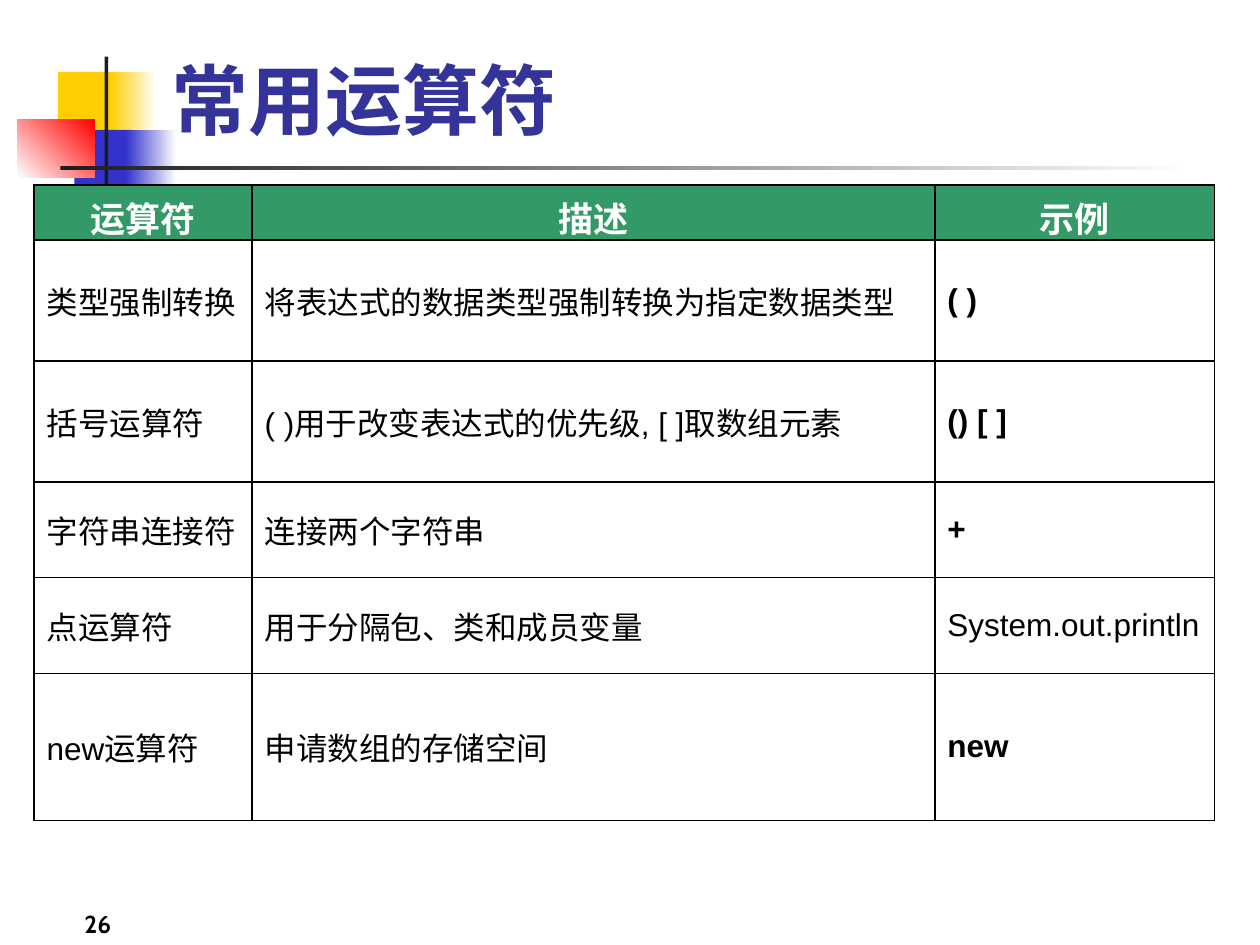
from dataclasses import dataclass
from lxml import etree
from pptx import Presentation
from pptx.dml import color
from pptx.enum import shapes, text
from pptx.oxml import ns
from pptx.util import Inches, Pt


@dataclass
class Theme:
    latin: str = "Arial"
    heading: str = "Cabin"
    chinese: str = "Noto Sans CJK SC"
    black: str = "000000"
    white: str = "FFFFFF"
    ink: str = "1C1C1C"
    yellow: str = "FFCF01"
    blue: str = "3333CC"
    red: str = "FF0000"
    title: str = "333399"
    green: str = "339966"
    title_size: int = 44
    header_size: int = 20
    body_size: int = 18
    number_size: int = 14
    border: int = 1


theme = Theme()
rgb = color.RGBColor.from_string
deck = Presentation()
deck.slide_width, deck.slide_height = Inches(10), Inches(7.5)
column, row = deck.slide_width / 100, deck.slide_height / 75
page = deck.slides.add_slide(deck.slide_layouts[6])


def area(left, top, width, height):
    return [round(n * step) for n, step in zip((left, top, width, height), (column, row) * 2)]


def write(frame, words, size, tint, bold, face, align):
    frame.word_wrap = True
    para = frame.paragraphs[0]
    para.text = words
    para.alignment = align
    font = para.font
    font.size, font.bold, font.name = Pt(size), bold, face
    font.color.rgb = rgb(tint)
    etree.SubElement(font._element, ns.qn("a:ea"), typeface=theme.chinese)


ornaments = [
    (4.6, 5.7, 4.8, 5.2, [theme.yellow], 0),
    (8.8, 5.7, 3.6, 5.2, [theme.yellow, theme.white], 0),
    (5.9, 10.3, 4.6, 5.2, [theme.blue], 0),
    (10, 10.3, 4, 5.2, [theme.blue, theme.white], 0),
    (1.4, 9.5, 6.1, 4.6, [theme.white, theme.red], 45),
    (8.3, 4.5, 0.3, 11.5, [theme.ink], 0),
    (4.8, 13.2, 90, 0.3, [theme.ink, theme.white], 0),
]
for *place, tints, angle in ornaments:
    block = page.shapes.add_shape(shapes.MSO_SHAPE.RECTANGLE, *area(*place))
    block.shadow.inherit = False
    block.line.fill.background()
    if len(tints) == 1:
        block.fill.solid()
        block.fill.fore_color.rgb = rgb(tints[0])
    else:
        block.fill.gradient()
        block.fill.gradient_angle = angle
        for stop, tint in zip(block.fill.gradient_stops, tints):
            stop.color.rgb = rgb(tint)

captions = [
    ((0, 70, 9.8, 5), "26", theme.number_size, theme.black, text.PP_ALIGN.RIGHT),
    ((12.6, 2.8, 85.2, 9.2), "常用运算符", theme.title_size, theme.title, text.PP_ALIGN.LEFT),
]
for place, words, size, tint, align in captions:
    box = page.shapes.add_textbox(*area(*place))
    box.text_frame.vertical_anchor = text.MSO_ANCHOR.BOTTOM
    write(box.text_frame, words, size, tint, True, theme.heading, align)

operators = [
    ("运算符", "描述", "示例"),
    ("类型强制转换", "将表达式的数据类型强制转换为指定数据类型", "( )"),
    ("括号运算符", "( )用于改变表达式的优先级, [ ]取数组元素", "() [ ]"),
    ("字符串连接符", "连接两个字符串", "+"),
    ("点运算符", "用于分隔包、类和成员变量", "System.out.println"),
    ("new运算符", "申请数组的存储空间", "new"),
]
widths = [17.3, 54.2, 22.2]
heights = [4.3, 9.6, 9.6, 7.6, 7.6, 11.7]
chinese_names = ("字符串连接符", "点运算符")
table = page.shapes.add_table(
    len(heights), len(widths), *area(2.7, 14.7, sum(widths), sum(heights))
).table
table.horz_banding = False
for index, width in enumerate(widths):
    table.columns[index].width = round(width * column)
for index, height in enumerate(heights):
    table.rows[index].height = round(height * row)

for r, entries in enumerate(operators):
    for c, words in enumerate(entries):
        cell = table.cell(r, c)
        cell.vertical_anchor = text.MSO_ANCHOR.MIDDLE
        properties = cell._tc.get_or_add_tcPr()
        for side in ("lnL", "lnR", "lnT", "lnB"):
            edge = etree.SubElement(properties, ns.qn(f"a:{side}"), w=str(Pt(theme.border)))
            paint = etree.SubElement(edge, ns.qn("a:solidFill"))
            etree.SubElement(paint, ns.qn("a:srgbClr"), val=theme.black)
        if r == 0:
            cell.fill.solid()
            cell.fill.fore_color.rgb = rgb(theme.green)
            size, tint, bold, align = theme.header_size, theme.white, True, text.PP_ALIGN.CENTER
        else:
            cell.fill.background()
            size, tint, align = theme.body_size, theme.black, text.PP_ALIGN.LEFT
            bold = c == 2 and words != "System.out.println"
        face = theme.chinese if words in chinese_names else theme.latin
        write(cell.text_frame, words, size, tint, bold, face, align)

deck.save("out.pptx")
